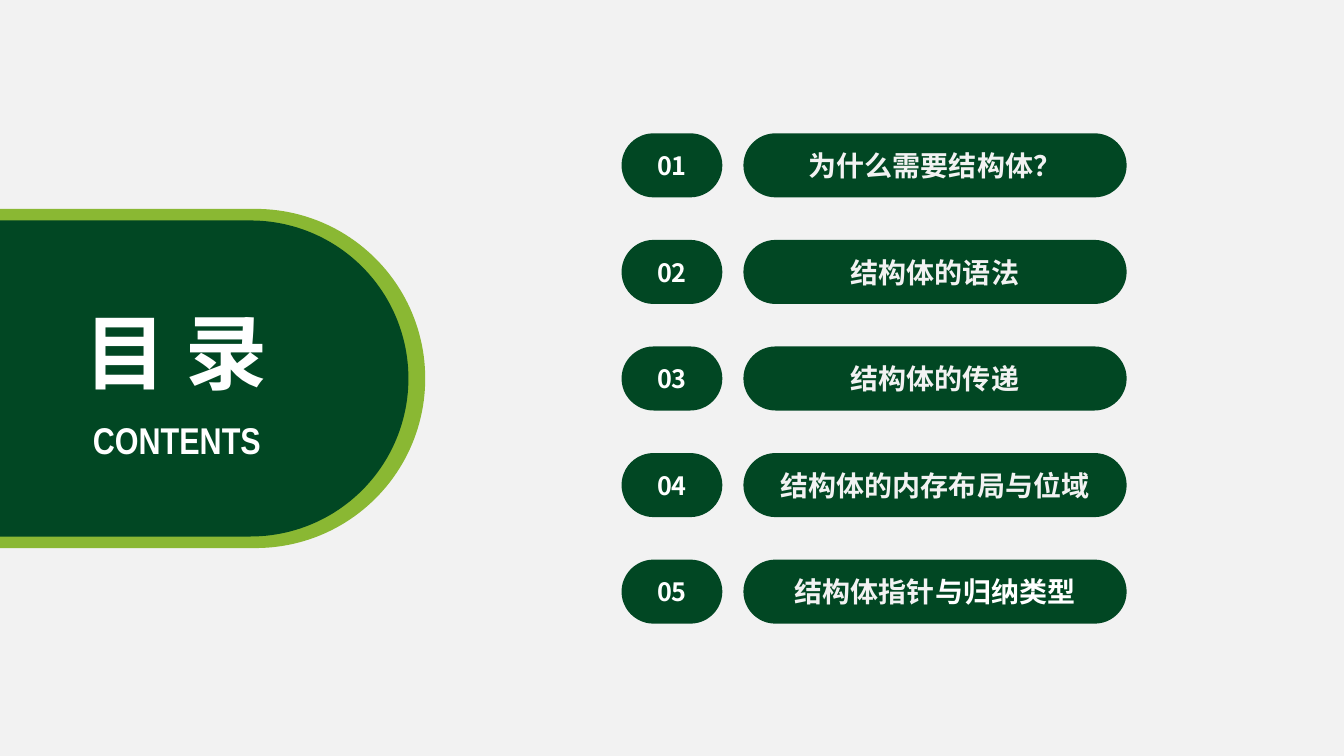
import pptx
import pptx.util
import pptx.oxml
import pptx.oxml.ns
import pptx.dml.color
import pptx.enum.shapes
import pptx.enum.text
from dataclasses import dataclass

PX = 9525


@dataclass(frozen=True)
class Theme:
    """Colours, fonts and type sizes of the deck."""
    page: str = "F2F2F2"
    dark: str = "014723"
    lime: str = "8AB833"
    white: str = "FFFFFF"
    sans: str = "Noto Sans CJK SC"
    narrow: str = "Arial Narrow"
    title: float = 58.6
    sub: float = 26.6
    num: float = 18
    label: float = 20


THEME = Theme()
TOPICS = [
    [("为什么需要结构体？", True)],
    [("结构体的语法", True)],
    [("结构体的传递", True)],
    [("结构体的内存布局与位域", True)],
    [("结构体指针", True), ("与归纳类型", False)],
]


def rgb(code):
    """Turn a hex code into a colour."""
    return pptx.dml.color.RGBColor.from_string(code)


def emu(*sizes):
    """Turn pixel lengths into EMU."""
    return [pptx.util.Emu(round(size * PX)) for size in sizes]


def glow(run):
    """Fill a run with a radial blend from page grey to white."""
    fill = pptx.oxml.parse_xml(
        f'<a:gradFill {pptx.oxml.ns.nsdecls("a")}><a:gsLst>'
        f'<a:gs pos="0"><a:srgbClr val="{THEME.page}"/></a:gs>'
        f'<a:gs pos="100000"><a:srgbClr val="{THEME.white}"/></a:gs></a:gsLst>'
        '<a:path path="circle"><a:fillToRect l="100000" b="100000"/></a:path>'
        '</a:gradFill>')
    run._r.get_or_add_rPr().insert(0, fill)


def write(shape, runs, size, face, wrap=True):
    """Write bold, centred runs into a shape."""
    frame = shape.text_frame
    frame.word_wrap = wrap
    frame.auto_size = pptx.enum.text.MSO_AUTO_SIZE.NONE
    frame.vertical_anchor = pptx.enum.text.MSO_ANCHOR.MIDDLE
    para = frame.paragraphs[0]
    para.alignment = pptx.enum.text.PP_ALIGN.CENTER
    for text, blend in runs:
        run = para.add_run()
        run.text = text
        font = run.font
        font.size, font.bold, font.name = pptx.util.Pt(size), True, face
        if blend:
            glow(run)
        else:
            font.color.rgb = rgb(THEME.white)
        east = pptx.oxml.parse_xml(
            f'<a:ea {pptx.oxml.ns.nsdecls("a")} typeface="{face}"/>')
        run._r.get_or_add_rPr().append(east)


def pill(slide, box, color):
    """Add a fully rounded bar."""
    kind = pptx.enum.shapes.MSO_SHAPE.ROUNDED_RECTANGLE
    shape = slide.shapes.add_shape(kind, *emu(*box))
    shape.adjustments[0] = 0.5
    shape.shadow.inherit = False
    shape.fill.solid()
    shape.fill.fore_color.rgb = rgb(color)
    shape.line.fill.background()
    return shape


def banner(slide, box):
    """Place the heading banner that enters from the left edge."""
    left, top, width, height = box
    pill(slide, box, THEME.lime)
    pill(slide, (left + 25, top + 11, width - 41, height - 22), THEME.dark)
    sub = slide.shapes.add_textbox(*emu(left + 248, top + 193, 217, 53))
    write(sub, [("CONTENTS", False)], THEME.sub, THEME.narrow, False)
    title = slide.shapes.title
    title.left, title.top, title.width, title.height = emu(
        left + 255, top + 82, 201, 105)
    write(title, [("目 录", False)], THEME.title, THEME.sans, False)
    slide.shapes._spTree.append(title._element)


def agenda(slide, box):
    """Place numbered topics in evenly spaced rows."""
    left, top, width, height = box
    badge, gap, row = 96, 20, 61
    pitch = (height - row) / (len(TOPICS) - 1)
    for index, runs in enumerate(TOPICS):
        y = top + index * pitch
        num = pill(slide, (left, y, badge, row), THEME.dark)
        write(num, [(f"{index + 1:02}", False)], THEME.num, THEME.sans)
        shift = badge + gap
        label = pill(slide, (left + shift, y, width - shift, row), THEME.dark)
        write(label, runs, THEME.label, THEME.sans)


def main():
    """Build and save the contents slide."""
    deck = pptx.Presentation()
    deck.slide_width, deck.slide_height = emu(1280, 720)
    slide = deck.slides.add_slide(deck.slide_layouts[5])
    slide.background.fill.solid()
    slide.background.fill.fore_color.rgb = rgb(THEME.page)
    banner(slide, (-188, 199, 593, 323))
    agenda(slide, (592, 127, 481, 467))
    deck.save("out.pptx")


if __name__ == "__main__":
    main()
